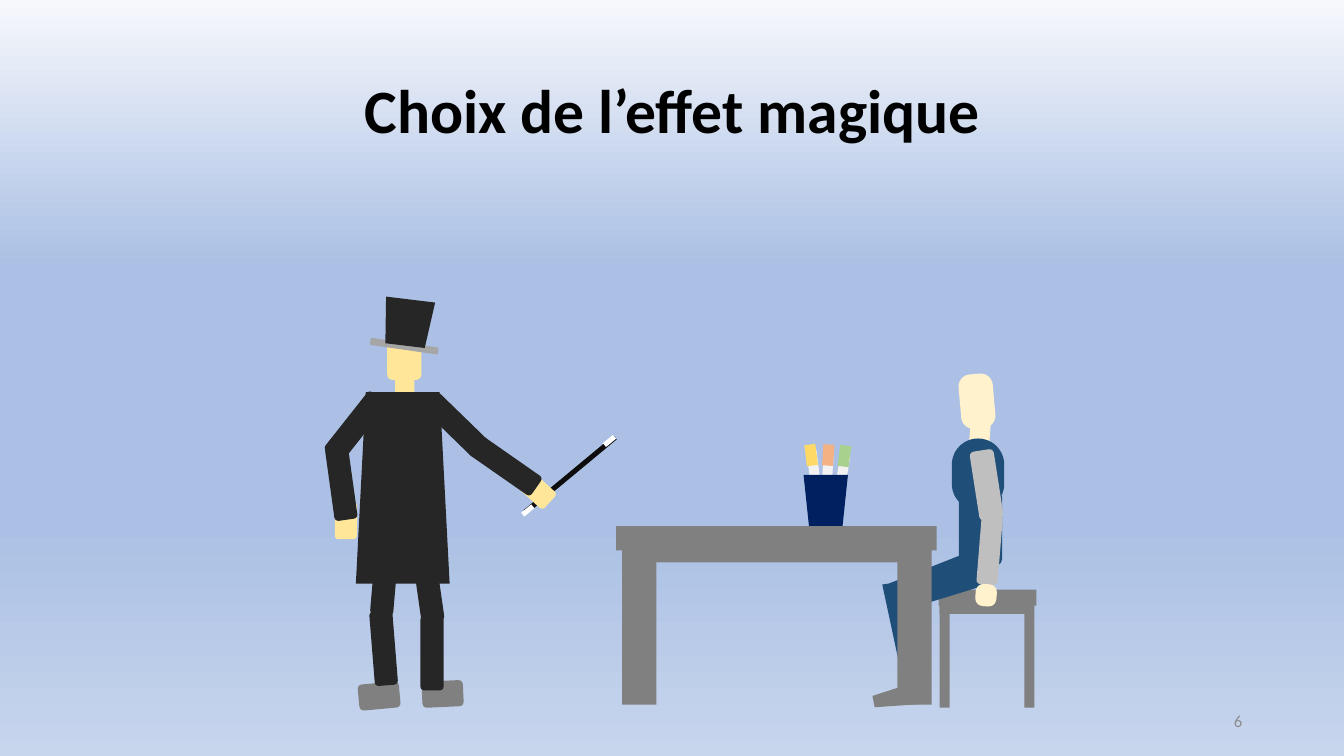
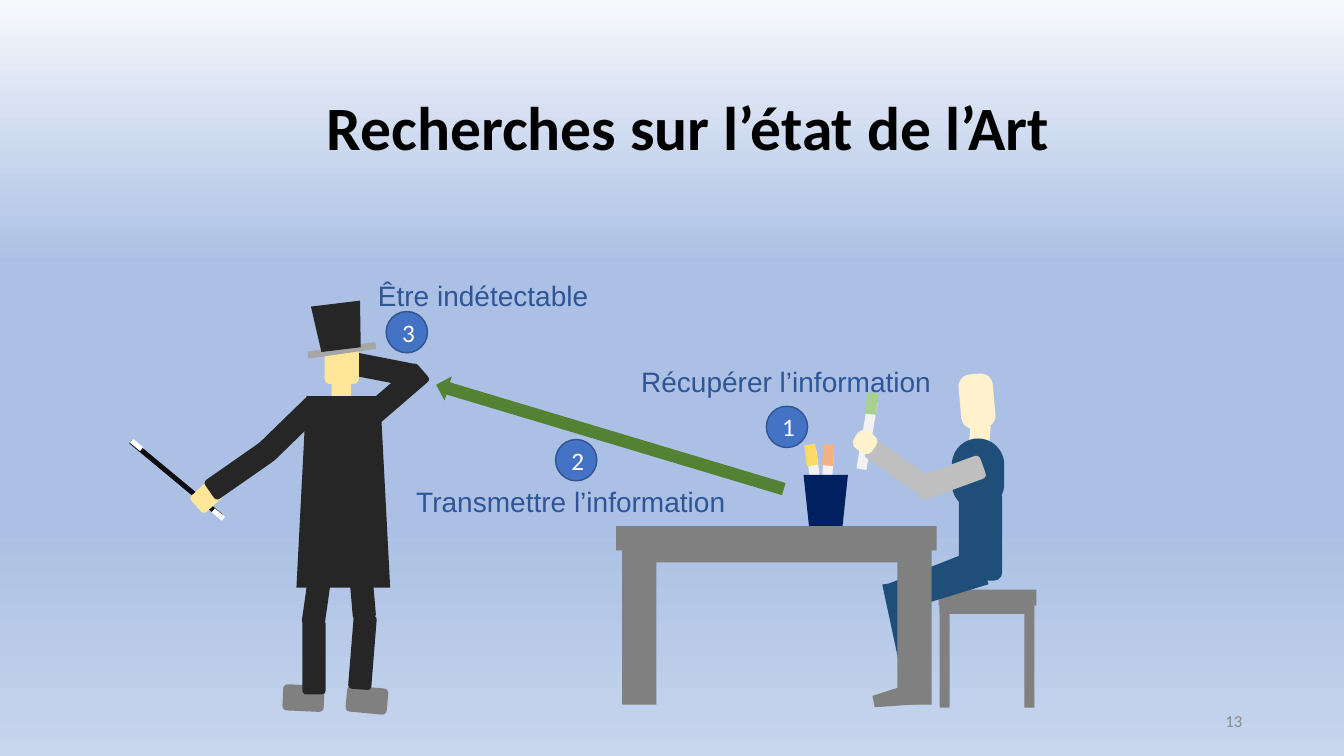
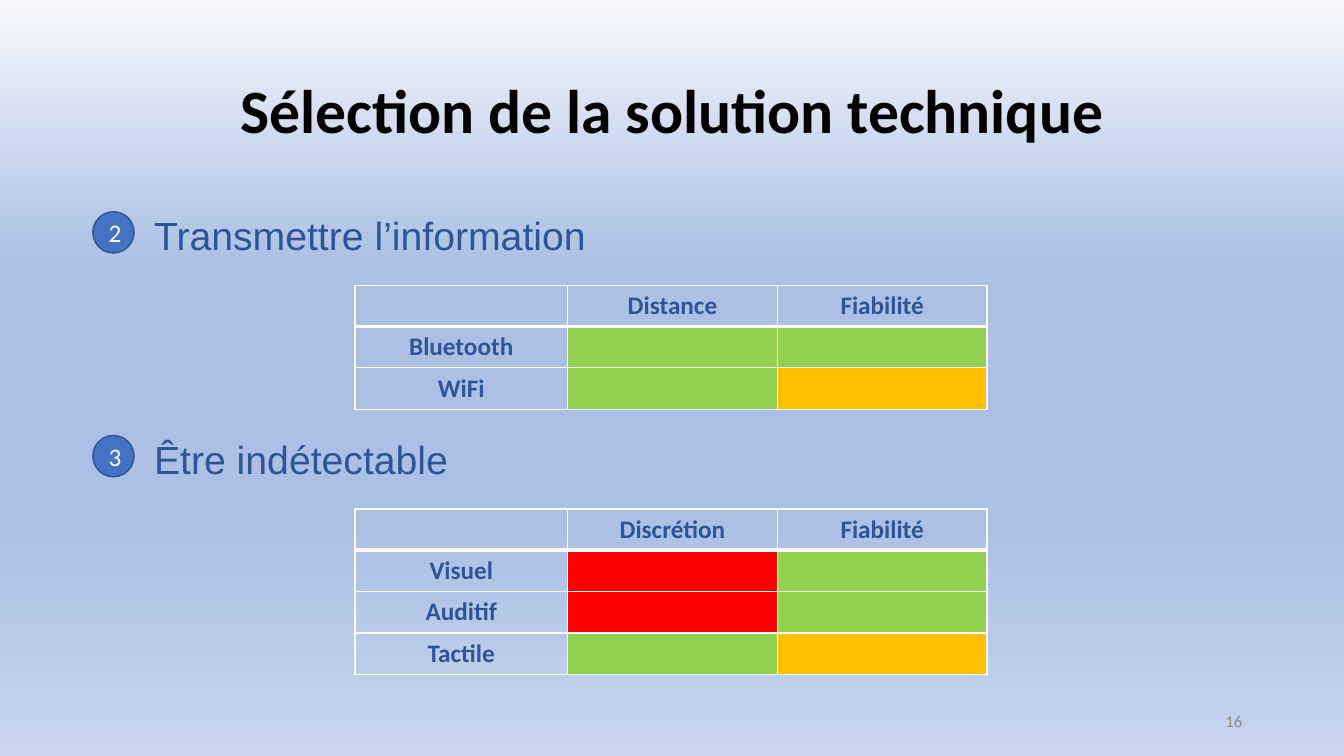
"""Builds three slides on a magic trick: the effect, its state of the art, and the technical choice."""
import copy

import pptx
import pptx.dml.color
import pptx.enum.shapes
import pptx.enum.text
import pptx.oxml.ns
import pptx.util
from lxml import etree

COLORS = {
    "title": "000000", "label": "2F5597", "number": "8C8C8C", "white": "FFFFFF",
    "badge": "4472C4", "badge_line": "325491", "arrow": "548235",
    "suit": "262626", "wand": "0D0D0D", "skin": "FFE699", "brim": "A6A6A6", "furniture": "808080",
    "clothes": "1F4E79", "sleeve": "BFBFBF", "pale": "FFF2CC",
    "pen": "F2F2F2", "cup": "002060", "yellow": "FFD966", "orange": "F4B183", "green": "A9D18E",
    "good": "92D050", "medium": "FFC000", "bad": "FF0000",
}
BACKGROUND = [(0, "F6F8FC"), (0.35, "ABC0E4"), (0.69, "ABC0E4"), (1, "C7D5ED")]
SHAPES = pptx.enum.shapes.MSO_SHAPE
RECT, ROUND, TRAPEZOID = SHAPES.RECTANGLE, SHAPES.ROUNDED_RECTANGLE, SHAPES.TRAPEZOID
ALIGN, ANCHOR = pptx.enum.text.PP_ALIGN, pptx.enum.text.MSO_ANCHOR

PENS_IN_CUP = [
    (RECT, 8.04, 4.47, 0.1, 0.67, -7, "pen"),
    (RECT, 8.15, 4.47, 0.1, 0.67, 3.6, "pen"),
    (RECT, 7.99, 4.41, 0.11, 0.21, -7, "yellow"),
    (RECT, 8.16, 4.41, 0.11, 0.21, 3.8, "orange"),
]
GREEN_PEN = [
    (RECT, 8.28, 4.51, 0.1, 0.67, 9.6, "pen"),
    (RECT, 8.32, 4.42, 0.11, 0.21, 7.3, "green"),
]
CUP = [(TRAPEZOID, 7.97, 4.71, 0.44, 0.53, 180, "cup", 0.127)]
STOOL = [
    (RECT, 9.32, 5.93, 0.93, 0.16, 0, "furniture"),
    (RECT, 9.32, 5.93, 0.1, 1.09, 0, "furniture"),
    (RECT, 10.16, 5.93, 0.1, 1.09, 0, "furniture"),
    (RECT, 9.31, 5.85, 0.97, 0.16, 0, "furniture"),
]
TABLE = [
    (RECT, 6.17, 5.34, 3.06, 0.24, 0, "furniture"),
    (RECT, 6.17, 5.34, 0.34, 1.65, 0, "furniture"),
    (RECT, 8.9, 5.34, 0.34, 1.65, 0, "furniture"),
    (RECT, 6.11, 5.22, 3.18, 0.24, 0, "furniture"),
]
SPECTATOR = [
    (TRAPEZOID, 9.12, 5.31, 0.37, 0.93, 250.7, "clothes", 0.098),
    (TRAPEZOID, 8.78, 6.68, 0.23, 0.47, 259, "furniture"),
    (TRAPEZOID, 8.82, 5.77, 0.34, 1.02, 172, "clothes", 0.211),
    (ROUND, 9.42, 3.81, 0.54, 0.34, 85, "pale", 0.351),
    (ROUND, 9.56, 4.18, 0.32, 0.2, 94.6, "pale", 0.351),
    (ROUND, 9.44, 4.35, 0.52, 0.71, 0, "clothes", 0.5),
]
SPECTATOR_RESTING = [
    (ROUND, 9.51, 4.86, 0.43, 0.76, 0, "clothes", 0.18),
    (ROUND, 9.47, 5.35, 0.69, 0.21, 94.6, "sleeve", 0.18),
    (ROUND, 9.67, 5.8, 0.22, 0.21, 94.6, "pale", 0.351),
    (ROUND, 9.44, 4.69, 0.69, 0.24, 81.1, "sleeve", 0.18),
]
SPECTATOR_HOLDING = [
    (ROUND, 9.51, 4.86, 0.43, 0.9, 0, "clothes", 0.18),
    (ROUND, 8.56, 4.53, 0.69, 0.21, 215.3, "sleeve", 0.18),
    (ROUND, 8.47, 4.28, 0.22, 0.21, 214.2, "pale", 0.351),
    (ROUND, 9.08, 4.62, 0.69, 0.24, 160, "sleeve", 0.18),
]
ARM_LOWERED = [
    (ROUND, 3.32, 4.98, 0.22, 0.37, 0, "skin"),
    (ROUND, 3.41, 3.86, 0.23, 0.74, 38.3, "suit"),
    (ROUND, 3.27, 4.42, 0.23, 0.74, -7.9, "suit"),
]
ARM_RAISED = [
    (ROUND, 3.8, 3.55, 0.23, 0.74, 229.2, "suit"),
    (ROUND, 3.65, 3.29, 0.23, 0.74, 101, "suit"),
]
MAGICIAN = [
    (ROUND, 3.7, 5.36, 0.23, 0.74, 4.9, "suit"),
    (ROUND, 4.13, 5.43, 0.23, 0.74, -8.1, "suit"),
    (ROUND, 3.84, 3.35, 0.34, 0.42, 0, "skin"),
    (ROUND, 3.67, 3.4, 0.68, 0.07, 8.2, "brim"),
    (TRAPEZOID, 3.8, 2.97, 0.49, 0.46, 186.9, "suit", 0.106),
    (ROUND, 3.92, 3.65, 0.19, 0.5, 0, "skin"),
    (TRAPEZOID, 3.53, 3.89, 0.93, 1.9, 0, "suit", 0.106),
    (ROUND, 3.63, 6.7, 0.26, 0.41, 84.8, "furniture"),
    (ROUND, 4.26, 6.68, 0.26, 0.41, 87.4, "furniture"),
    (ROUND, 3.69, 6.06, 0.23, 0.74, -4.6, "suit"),
    (ROUND, 4.17, 6.11, 0.23, 0.74, 0, "suit"),
    (ROUND, 4.41, 3.86, 0.23, 0.72, 314.2, "suit"),
    (RECT, 5.63, 4.13, 0.05, 1.16, 50.3, "wand"),
    (ROUND, 5.21, 4.68, 0.22, 0.36, 132.5, "skin"),
    (ROUND, 4.91, 4.27, 0.23, 0.72, 124.9, "suit"),
    (RECT, 6.02, 4.31, 0.05, 0.13, 50.3, "white"),
    (RECT, 5.21, 5, 0.05, 0.13, 50.3, "white"),
]
MIRROR_SPAN, MIRROR_DROP = 7.4, 0.04
ARROW = [(SHAPES.LEFT_ARROW, 4.25, 4.21, 3.6, 0.25, 16.7, "arrow")]

STEPS = [
    ("1", (7.6, 4.03), "Récupérer l’information", (6.26, 3.57)),
    ("2", (5.51, 4.36), "Transmettre l’information", (4.03, 4.76)),
    ("3", (3.83, 3.09), "Être indétectable", (3.65, 2.71)),
]
CRITERIA = [
    ("2", "Transmettre l’information", 2.05, ["Distance", "Fiabilité"],
     [("Bluetooth", "good", "good"), ("WiFi", "good", "medium")]),
    ("3", "Être indétectable", 4.27, ["Discrétion", "Fiabilité"],
     [("Visuel", "bad", "good"), ("Auditif", "bad", "good"), ("Tactile", "good", "medium")]),
]
COLUMN_WIDTHS, ROW_HEIGHT = (2.11, 2.08, 2.08), 0.41


def rgb(name):
    """Return a palette colour."""
    return pptx.dml.color.RGBColor.from_string(COLORS[name])


def inches(*lengths):
    """Convert lengths in inches."""
    return [pptx.util.Inches(length) for length in lengths]


def write(tf, text, size=18, color="label", font="Calibri", bold=False, align=ALIGN.CENTER,
          anchor=ANCHOR.MIDDLE, spacing=None):
    """Put one formatted paragraph in a text frame."""
    tf.word_wrap = True
    tf.vertical_anchor = anchor
    p = tf.paragraphs[0]
    p.alignment = align
    p.line_spacing = spacing
    r = p.add_run()
    r.text = text
    r.font.size = pptx.util.Pt(size)
    r.font.name = font
    r.font.bold = bold
    r.font.color.rgb = rgb(color)


def text_box(s, text, *box, **fmt):
    """Add a text box."""
    write(s.shapes.add_textbox(*inches(*box)).text_frame, text, **fmt)


def label(s, text, *box, size):
    """Add a left-aligned caption."""
    text_box(s, text, *box, size=size, font="Arial", align=ALIGN.LEFT, anchor=ANCHOR.TOP)


def draw(s, parts, dx=0, dy=0):
    """Draw parts given as shape, left, top, width, height, rotation, colour and adjustment."""
    for kind, x, y, w, h, turn, color, *adjust in parts:
        sp = s.shapes.add_shape(kind, *inches(x + dx, y + dy, w, h))
        sp.shadow.inherit = False
        sp.rotation = turn % 360
        sp.fill.solid()
        sp.fill.fore_color.rgb = rgb(color)
        sp.line.fill.background()
        if adjust:
            sp.adjustments[0] = adjust[0]


def mirrored(parts):
    """Return the parts turned to face the other way."""
    return [(kind, MIRROR_SPAN - x - w, y, w, h, -turn, *look) for kind, x, y, w, h, turn, *look in parts]


def badge(s, number, x, y):
    """Add a numbered disc."""
    sp = s.shapes.add_shape(SHAPES.OVAL, *inches(x, y, 0.41, 0.41))
    sp.shadow.inherit = False
    sp.fill.solid()
    sp.fill.fore_color.rgb = rgb("badge")
    sp.line.color.rgb = rgb("badge_line")
    sp.line.width = pptx.util.Pt(1)
    write(sp.text_frame, number, color="white")


def border(cell, **widths):
    """Give a cell white borders, with widths in points by side."""
    props = cell._tc.get_or_add_tcPr()
    for side in "LRTB":
        ln = etree.SubElement(props, pptx.oxml.ns.qn("a:ln" + side), w=str(pptx.util.Pt(widths.get(side, 1))))
        fill = etree.SubElement(ln, pptx.oxml.ns.qn("a:solidFill"))
        etree.SubElement(fill, pptx.oxml.ns.qn("a:srgbClr"), val=COLORS["white"])


def rating_table(s, top, headings, ratings):
    """Add a table whose cells are coloured by rating."""
    count = len(ratings) + 1
    box = inches(3.52, top, sum(COLUMN_WIDTHS), count * ROW_HEIGHT)
    table = s.shapes.add_table(count, len(COLUMN_WIDTHS), *box).table
    table.first_row = table.horz_banding = False
    for column, width in zip(table.columns, COLUMN_WIDTHS):
        column.width = pptx.util.Inches(width)
    for i, row in enumerate([("", *headings), *ratings]):
        table.rows[i].height = pptx.util.Inches(ROW_HEIGHT)
        for j, value in enumerate(row):
            cell = table.cell(i, j)
            border(cell, T=3 if i == 1 else 1, B=3 if i == 0 else 1)
            if i and j:
                cell.fill.solid()
                cell.fill.fore_color.rgb = rgb(value)
                continue
            cell.fill.background()
            cell.vertical_anchor = ANCHOR.MIDDLE
            if value:
                write(cell.text_frame, value, bold=True)


def paint_background(master):
    """Set the gradient that all slides share."""
    fill = master.background.fill
    fill.gradient()
    fill.gradient_angle = 270
    stops = master.element.find(".//" + pptx.oxml.ns.qn("p:bg")).find(".//" + pptx.oxml.ns.qn("a:gsLst"))
    while len(stops) < len(BACKGROUND):
        stops.append(copy.deepcopy(stops[0]))
    for stop, (position, color) in zip(fill.gradient_stops, BACKGROUND):
        stop.position = position
        stop.color.rgb = pptx.dml.color.RGBColor.from_string(color)


def new_slide(prs, title, number, x=0.92, y=0.4):
    """Add a slide with its title and number."""
    s = prs.slides.add_slide(prs.slide_layouts[6])
    text_box(s, title, x, y, 11.5, 1.45, size=44, color="title", bold=True, spacing=0.9)
    text_box(s, number, 9.42, 6.95, 3, 0.4, size=12, color="number", align=ALIGN.RIGHT)
    return s


def scene(s, spectator, magician, pen_shift=(0, 0), drop=0):
    """Draw the magician facing the spectator across the table."""
    draw(s, PENS_IN_CUP)
    draw(s, GREEN_PEN, *pen_shift)
    draw(s, CUP + STOOL + SPECTATOR + spectator)
    draw(s, magician, dy=drop)
    draw(s, TABLE)


def main():
    """Build and save the slides."""
    prs = pptx.Presentation()
    prs.slide_width, prs.slide_height = inches(13.33, 7.5)
    paint_background(prs.slide_master)

    s = new_slide(prs, "Choix de l’effet magique", "6")
    scene(s, SPECTATOR_RESTING, ARM_LOWERED + MAGICIAN)

    s = new_slide(prs, "Recherches sur l’état de l’Art", "13", x=1.08, y=0.57)
    scene(s, SPECTATOR_HOLDING, [], pen_shift=(0.27, -0.52))
    draw(s, ARM_RAISED)
    draw(s, mirrored(MAGICIAN), dy=MIRROR_DROP)
    draw(s, ARROW)
    for number, disc, text, corner in STEPS:
        badge(s, number, *disc)
        label(s, text, *corner, 3.62, 0.44, size=20)

    s = new_slide(prs, "Sélection de la solution technique", "16")
    for number, text, top, headings, ratings in CRITERIA:
        badge(s, number, 0.92, top + 0.05)
        label(s, text, 1.43, top, 8.52, 0.57, size=28)
        rating_table(s, top + 0.78, headings, ratings)

    prs.save("out.pptx")


if __name__ == "__main__":
    main()
